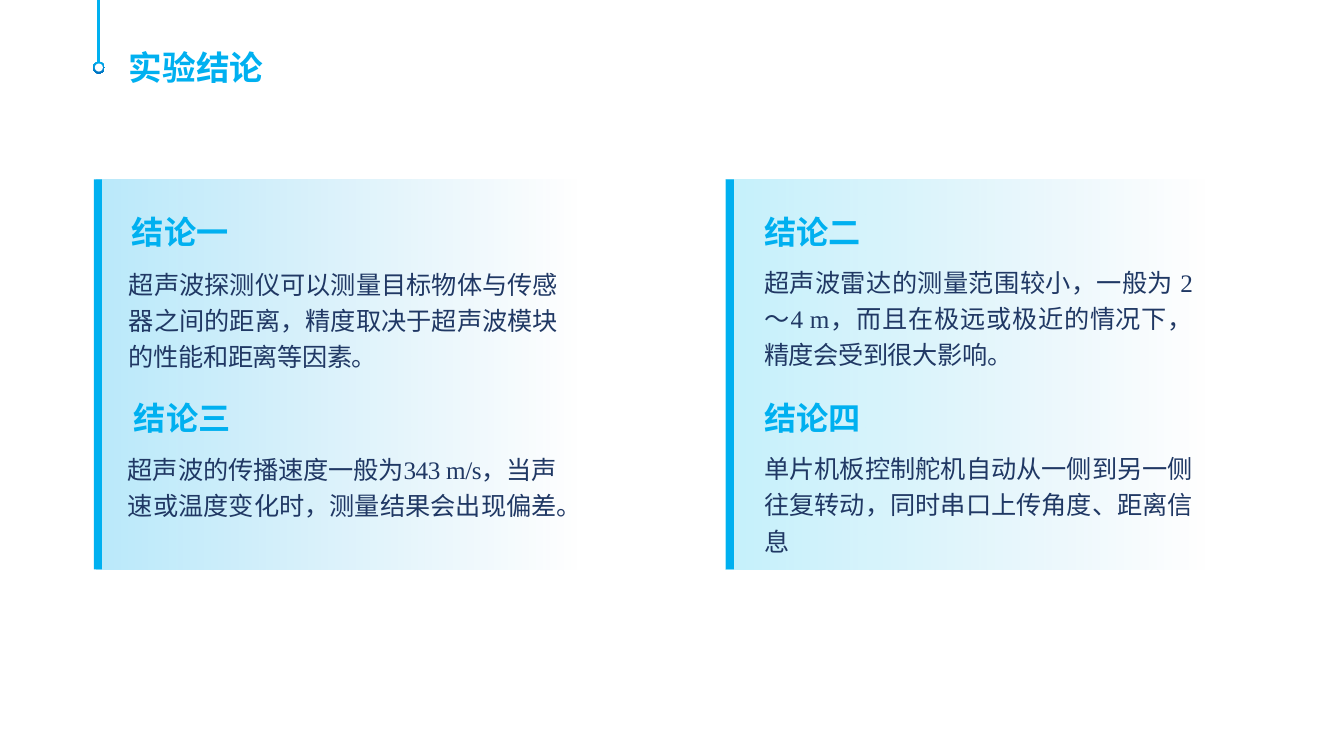
from pptx import Presentation
from pptx.dml.color import RGBColor
from pptx.enum.shapes import MSO_CONNECTOR, MSO_SHAPE
from pptx.enum.text import PP_ALIGN
from pptx.oxml.ns import qn
from pptx.util import Inches, Pt
from lxml.etree import SubElement

SKY = RGBColor(0x00, 0xB0, 0xF0)
CYAN = RGBColor(0x09, 0xC5, 0xF1)
BLUE = RGBColor(0x04, 0x98, 0xD7)
DEEP = RGBColor(0x00, 0x70, 0xC0)
NAVY = RGBColor(0x20, 0x38, 0x64)
WHITE = RGBColor(0xFF, 0xFF, 0xFF)
SANS, HEAD, SERIF = "Noto Sans CJK SC", "Noto Sans CJK JP", "Times New Roman"

PANEL_TOP, PANEL_HEIGHT = 1.78, 3.87


def add_filled(kind, left, top, width, height, colors, angle=0, alphas=()):
    """Add a borderless shape: one colour is solid, two make a gradient."""
    shape = page.shapes.add_shape(
        kind, Inches(left), Inches(top), Inches(width), Inches(height))
    shape.shadow.inherit = False
    shape.line.fill.background()
    if len(colors) == 1:
        shape.fill.solid()
        shape.fill.fore_color.rgb = colors[0]
        return
    shape.fill.gradient()
    shape.fill.gradient_angle = angle
    for stop, color in zip(shape.fill.gradient_stops, colors):
        stop.color.rgb = color
    for node, alpha in zip(shape.element.spPr.iter(qn("a:srgbClr")), alphas):
        SubElement(node, qn("a:alpha"), val=str(alpha * 1000))


def add_text(text, left, top, width, height, size, color, latin,
             asian=SANS, wrap=False, spacing=None):
    box = page.shapes.add_textbox(
        Inches(left), Inches(top), Inches(width), Inches(height))
    box.text_frame.word_wrap = wrap
    para = box.text_frame.paragraphs[0]
    para.text = text
    if spacing:
        para.line_spacing = spacing
    font = para.font
    font.size, font.name, font.bold = Pt(size), latin, not wrap
    font.color.rgb = color
    props = para._p.pPr.find(qn("a:defRPr"))
    SubElement(props, qn("a:ea"), typeface=asian)
    if wrap:
        para.alignment = PP_ALIGN.JUSTIFY
        props.set("spc", "-30")


deck = Presentation()
deck.slide_width, deck.slide_height = Inches(13.33), Inches(7.5)
page = deck.slides.add_slide(deck.slide_layouts[6])

# Panels with an accent bar on the left edge
for panel_left, bar_left, tint, alpha in [(0.96, 0.93, SKY, 28),
                                          (7.2, 7.2, CYAN, 24)]:
    add_filled(MSO_SHAPE.RECTANGLE, panel_left, PANEL_TOP, 4.86, PANEL_HEIGHT,
               [tint, BLUE], alphas=(alpha, 0))
    add_filled(MSO_SHAPE.RECTANGLE, bar_left, PANEL_TOP, 0.08, PANEL_HEIGHT, [SKY])

# Title with its hanging pin
add_text("实验结论", 1.18, 0.34, 1.53, 0.58, 24, SKY, SANS, spacing=1.2)
pin = page.shapes.add_connector(
    MSO_CONNECTOR.STRAIGHT, Inches(0.98), 0, Inches(0.98), Inches(0.65))
pin.line.color.rgb = SKY
pin.line.width = Pt(2.25)
SubElement(pin.element.spPr, qn("a:effectLst"))
add_filled(MSO_SHAPE.OVAL, 0.92, 0.61, 0.12, 0.12, [SKY, DEEP], angle=270)
add_filled(MSO_SHAPE.OVAL, 0.94, 0.63, 0.08, 0.08, [WHITE])

# Conclusions: heading, its left and top, body, its left, top and height, font
conclusions = [
    ("结论一", 1.21, 2.06,
     "超声波探测仪可以测量目标物体与传感器之间的距离，精度取决于超声波模块的性能和距离等因素。",
     1.18, 2.56, 1.19, SANS),
    ("结论二", 7.48, 2.06,
     "超声波雷达的测量范围较小，一般为 2～4 m，而且在极远或极近的情况下，精度会受到很大影响。",
     7.48, 2.54, 1.19, SERIF),
    ("结论三", 1.23, 3.9,
     "超声波的传播速度一般为343 m/s，当声速或温度变化时，测量结果会出现偏差。",
     1.17, 4.4, 0.83, SERIF),
    ("结论四", 7.48, 3.9,
     "单片机板控制舵机自动从一侧到另一侧往复转动，同时串口上传角度、距离信息",
     7.48, 4.39, 1.27, SANS),
]
for heading, head_left, head_top, body, left, top, height, latin in conclusions:
    add_text(heading, head_left, head_top, 1.16, 0.49, 23, SKY, HEAD, HEAD)
    add_text(body, left, top, 4.45, height, 18, NAVY, latin, wrap=True, spacing=1.2)

deck.save("out.pptx")
